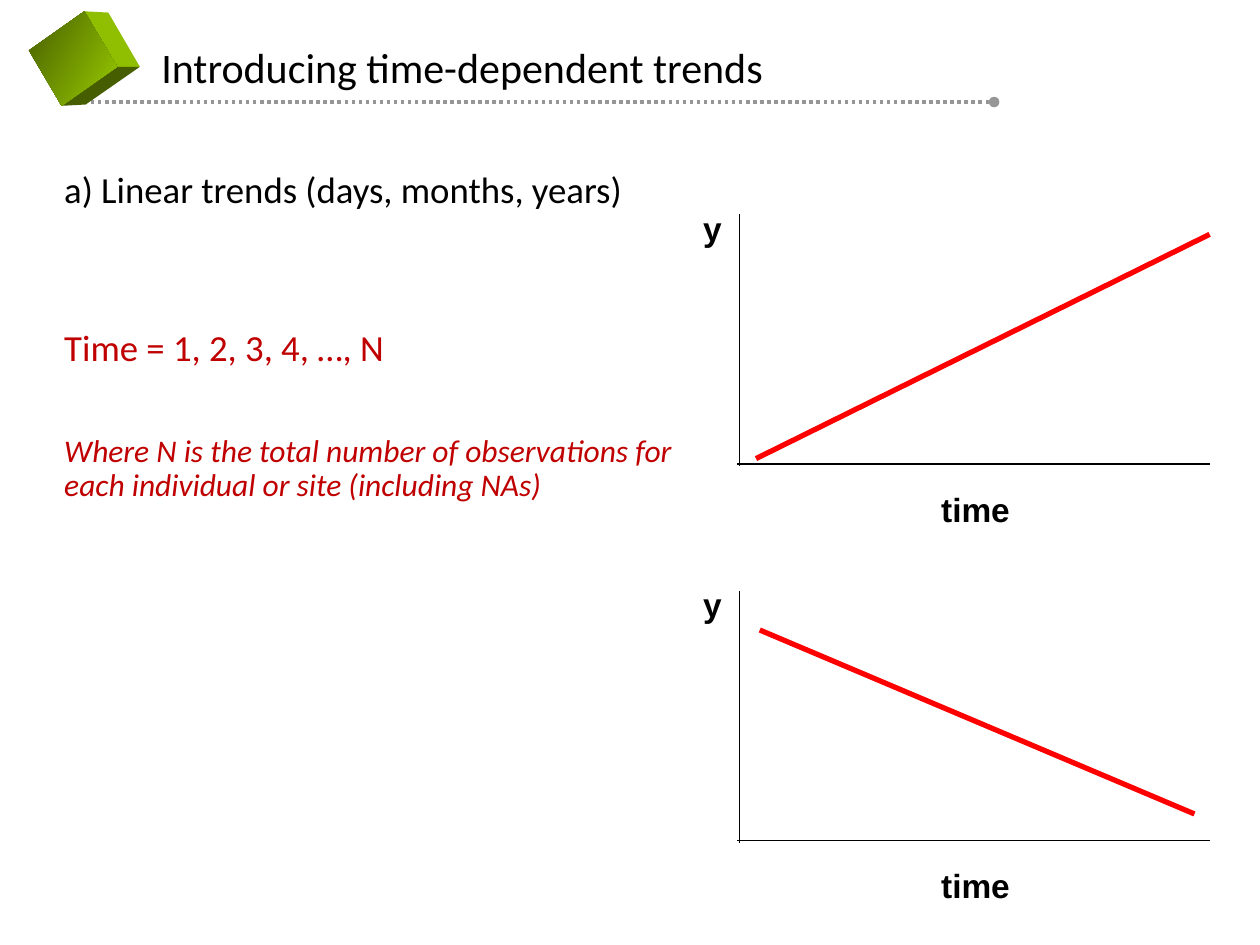
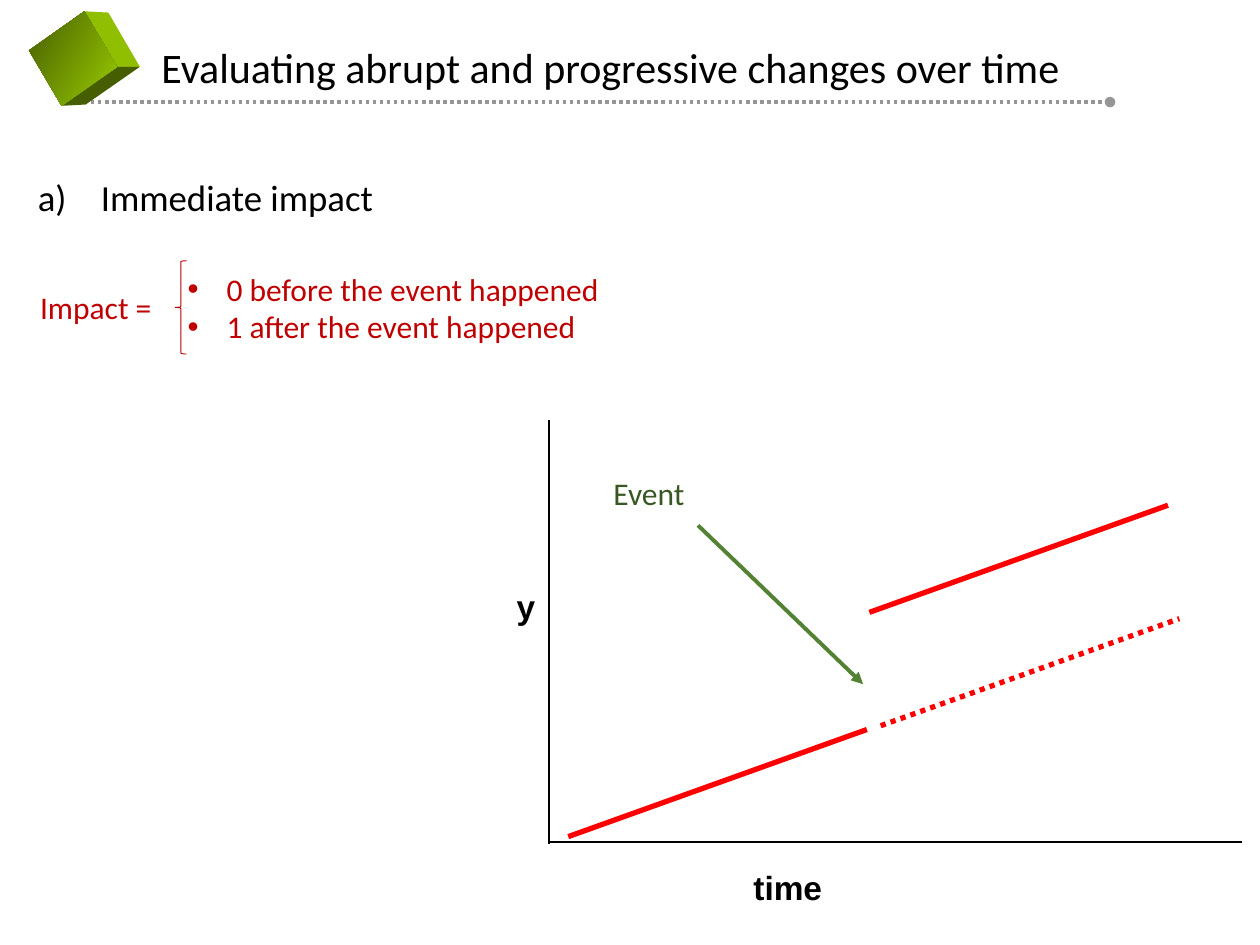
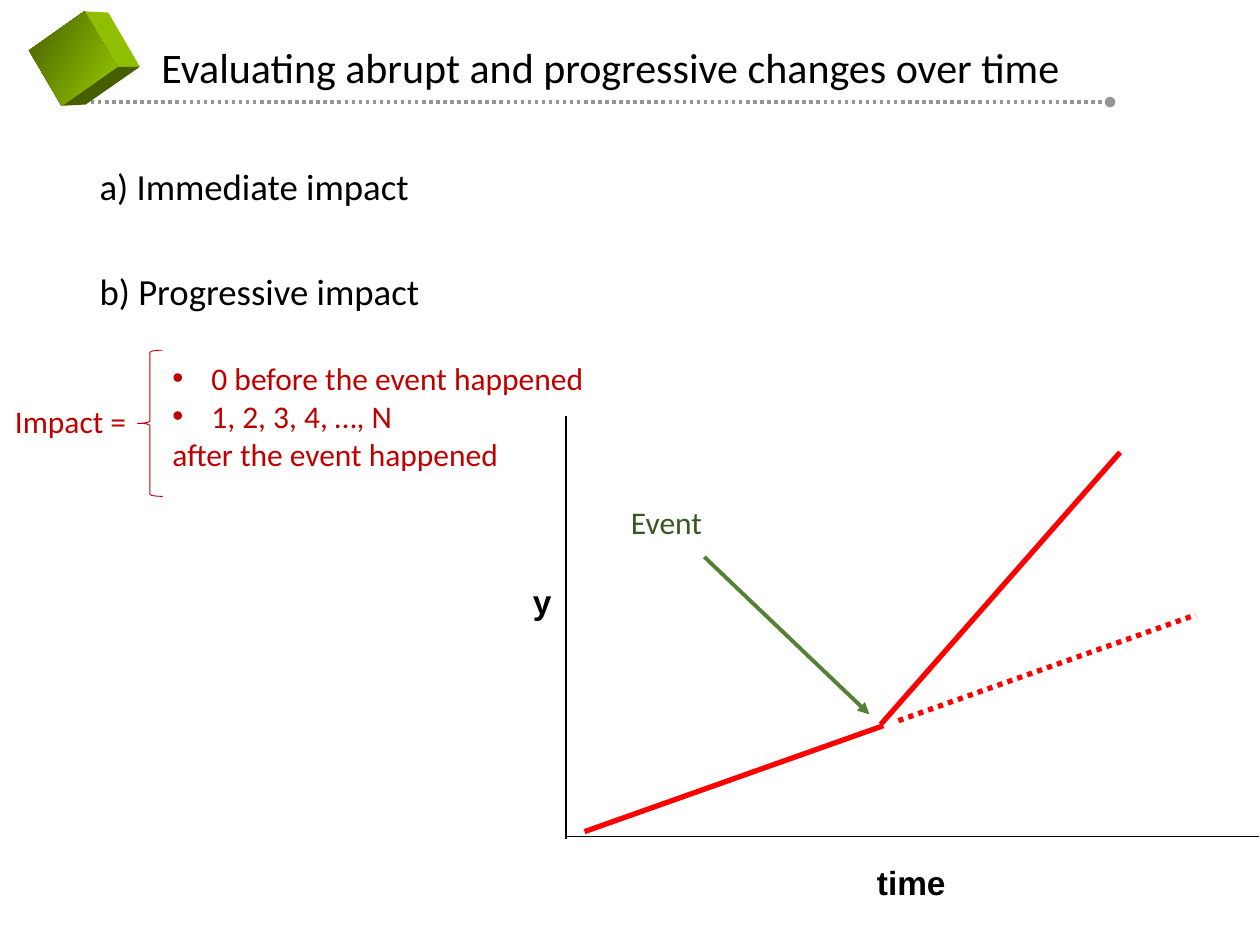
import dataclasses

import lxml.etree
import pptx
import pptx.dml.color
import pptx.enum.dml
import pptx.enum.shapes
import pptx.enum.text
import pptx.oxml.ns
import pptx.util

Inches = pptx.util.Inches
RGBColor = pptx.dml.color.RGBColor


@dataclasses.dataclass(frozen=True)
class Theme:
    """Colours, fonts and sizes shared by the slides."""

    ink: str = "000000"
    trend: str = "FF0000"
    formula: str = "C00000"
    event: str = "385723"
    arrow: str = "548235"
    rule: str = "969696"
    cube_light: str = "99CC00"
    cube_side: str = "8FBF00"
    cube_dark: str = "475E00"
    text_font: str = "Calibri"
    axis_font: str = "Arial"
    title_size: float = 24
    body_size: float = 21
    note_size: float = 18
    axis_size: float = 19.1
    axis_width: float = 1
    trend_width: float = 3
    arrow_width: float = 2.25
    rule_width: float = 2
    brace_width: float = 0.5
    line_spacing: float = 0.9
    gap: float = 7.5
    one_line_gap: float = 37.5
    two_line_gap: float = 68


THEME = Theme()
IMPACT_TITLE = "Evaluating abrupt and progressive changes over time"


def place(shape, left, top, width, height):
    """Move and size a shape, in inches."""
    shape.left, shape.top = Inches(left), Inches(top)
    shape.width, shape.height = Inches(width), Inches(height)


def write(paragraph, text, size, color, font=THEME.text_font, bold=False, italic=False):
    """Set a paragraph's text and format its runs."""
    paragraph.text = text
    for run in paragraph.runs:
        run.font.name = font
        run.font.size = pptx.util.Pt(size)
        run.font.bold = bold
        run.font.italic = italic
        run.font.color.rgb = RGBColor.from_string(color)


def set_bullet(paragraph, indent=0, tag="a:buNone", font=None, **attributes):
    """Give a paragraph a hanging indent and a bullet, or none."""
    properties = paragraph._p.get_or_add_pPr()
    properties.set("marL", str(Inches(indent)))
    properties.set("indent", str(-Inches(indent)))
    if font:
        lxml.etree.SubElement(properties, pptx.oxml.ns.qn("a:buFont"), typeface=font)
    lxml.etree.SubElement(properties, pptx.oxml.ns.qn(tag), attributes)


def next_paragraph(frame, index):
    """Return the first paragraph of a frame, or a new one."""
    return frame.paragraphs[0] if index == 0 else frame.add_paragraph()


def add_line(slide, start, end, color, width, dash=None, tail=None):
    """Draw a straight line between two points."""
    line = slide.shapes.add_connector(
        pptx.enum.shapes.MSO_CONNECTOR.STRAIGHT, *map(Inches, (*start, *end)))
    line.line.color.rgb = RGBColor.from_string(color)
    line.line.width = pptx.util.Pt(width)
    if dash:
        line.line.dash_style = dash
    properties = line.element.spPr
    if tail:
        outline = properties.find(pptx.oxml.ns.qn("a:ln"))
        lxml.etree.SubElement(outline, pptx.oxml.ns.qn("a:tailEnd"), type=tail)
    lxml.etree.SubElement(properties, pptx.oxml.ns.qn("a:effectLst"))


def add_trend(slide, start, end, dash=None):
    """Draw a trend line."""
    add_line(slide, start, end, THEME.trend, THEME.trend_width, dash)


def add_label(slide, box, text, size, color, inset=0.1, **style):
    """Add a one-line label."""
    label = slide.shapes.add_textbox(*map(Inches, box))
    frame = label.text_frame
    frame.word_wrap = False
    frame.auto_size = pptx.enum.text.MSO_AUTO_SIZE.SHAPE_TO_FIT_TEXT
    frame.margin_left = frame.margin_right = Inches(inset)
    write(frame.paragraphs[0], text, size, color, **style)


def add_face(slide, corners):
    """Draw one face of the cube and return it."""
    points = [tuple(map(Inches, corner)) for corner in corners]
    builder = slide.shapes.build_freeform(*points[0])
    builder.add_line_segments(points[1:], close=True)
    face = builder.convert_to_shape()
    face.shadow.inherit = False
    face.line.fill.background()
    return face


def add_cube(slide):
    """Draw the green cube beside the title."""
    top, front, bottom = (0.67, 0.09), (0.93, 0.53), (0.49, 0.84)
    right = (1.11, 0.53)
    sides = (
        ((top, (0.86, 0.1), right, front), THEME.cube_side),
        ((front, right, (0.68, 0.83), bottom), THEME.cube_dark),
    )
    for corners, color in sides:
        fill = add_face(slide, corners).fill
        fill.solid()
        fill.fore_color.rgb = RGBColor.from_string(color)
    fill = add_face(slide, ((0.23, 0.4), top, front, bottom)).fill
    fill.gradient()
    fill.gradient_angle = 330
    for stop, color in zip(fill.gradient_stops, (THEME.cube_dark, THEME.cube_light)):
        stop.color.rgb = RGBColor.from_string(color)


def add_topic_slide(deck, title, title_width, rule_end):
    """Add a slide with its title, dotted rule and cube."""
    slide = deck.slides.add_slide(deck.slide_layouts[1])
    heading = slide.shapes.title
    place(heading, 1.18, 0.28, title_width, 0.5)
    frame = heading.text_frame
    frame.word_wrap = False
    frame.auto_size = pptx.enum.text.MSO_AUTO_SIZE.NONE
    frame.vertical_anchor = pptx.enum.text.MSO_ANCHOR.TOP
    write(frame.paragraphs[0], title, THEME.title_size, THEME.ink)
    frame.paragraphs[0].alignment = pptx.enum.text.PP_ALIGN.LEFT
    add_line(slide, (0.61, 0.81), (rule_end, 0.81), THEME.rule, THEME.rule_width,
             pptx.enum.dml.MSO_LINE.ROUND_DOT, "oval")
    add_cube(slide)
    return slide


def fill_body(slide, box, entries, lettered=False):
    """Fill the body with (text, space before, style) entries."""
    body = slide.placeholders[1]
    place(body, *box)
    body.text_frame.auto_size = pptx.enum.text.MSO_AUTO_SIZE.NONE
    for index, (text, space, style) in enumerate(entries):
        paragraph = next_paragraph(body.text_frame, index)
        write(paragraph, text, **{"size": THEME.body_size, "color": THEME.ink, **style})
        paragraph.line_spacing = THEME.line_spacing
        paragraph.space_before = pptx.util.Pt(space)
        if lettered:
            set_bullet(paragraph, 0.5, "a:buAutoNum", THEME.text_font,
                       type="alphaLcParenR")
        else:
            set_bullet(paragraph)


def add_axes(slide, origin, top, right, y_label, time_left, overlap=0):
    """Draw the y and time axes with their labels."""
    x, y = origin
    ends = (((x, top), (x, y + 0.02)), ((x - overlap, y), (right, y)))
    for start, end in ends:
        add_line(slide, start, end, THEME.ink, THEME.axis_width)
    labels = (("y", (*y_label, 0.36, 0.41)), ("time", (time_left, y + 0.15, 0.8, 0.41)))
    for text, box in labels:
        add_label(slide, box, text, THEME.axis_size, THEME.ink, inset=0.09,
                  font=THEME.axis_font, bold=True)


def add_event(slide, label_at, start, end):
    """Mark the event with a label and an arrow."""
    add_label(slide, (*label_at, 0.77, 0.4), "Event", THEME.note_size, THEME.event)
    add_line(slide, start, end, THEME.arrow, THEME.arrow_width, tail="triangle")


def add_impact(slide, label_at, brace_box, cases_box, cases):
    """Define the impact variable as a brace with (text, bulleted) cases."""
    add_label(slide, (*label_at, 1.1, 0.4), "Impact =", THEME.note_size, THEME.formula)
    brace = slide.shapes.add_shape(
        pptx.enum.shapes.MSO_SHAPE.LEFT_BRACE, *map(Inches, brace_box))
    brace.shadow.inherit = False
    brace.fill.background()
    brace.line.color.rgb = RGBColor.from_string(THEME.formula)
    brace.line.width = pptx.util.Pt(THEME.brace_width)
    frame = slide.shapes.add_textbox(*map(Inches, cases_box)).text_frame
    frame.word_wrap = True
    for index, (text, bulleted) in enumerate(cases):
        paragraph = next_paragraph(frame, index)
        write(paragraph, text, THEME.note_size, THEME.formula)
        if bulleted:
            set_bullet(paragraph, 0.31, "a:buChar", THEME.axis_font, char="•")


def build_linear_trends(deck):
    """Build the slide on linear trends."""
    slide = add_topic_slide(deck, "Introducing time-dependent trends", 5.03, 7.89)
    formula = {"color": THEME.formula}
    fill_body(slide, (0.41, 1.31, 5.08, 4.76), (
        ("a) Linear trends (days, months, years)", THEME.gap, {}),
        ("Time = 1, 2, 3, 4, …, N", THEME.two_line_gap, formula),
        ("Where N is the total number of observations for each individual or site "
         "(including NAs)", THEME.one_line_gap,
         {**formula, "size": THEME.note_size, "italic": True}),
    ))
    plots = ((1.7, (6, 3.64), (9.6, 1.86)), (4.69, (6.03, 5), (9.48, 6.46)))
    for top, start, end in plots:
        add_axes(slide, (5.87, top + 1.98), top, 9.6, (5.49, top - 0.1), 7.38, 0.02)
        add_trend(slide, start, end)


def build_immediate_impact(deck):
    """Build the slide on immediate impact."""
    slide = add_topic_slide(deck, IMPACT_TITLE, 7.4, 8.81)
    fill_body(slide, (0.2, 1.38, 8.62, 4.76),
              (("Immediate impact", THEME.gap, {}),), lettered=True)
    add_axes(slide, (4.36, 6.68), 3.33, 9.86, (4.01, 4.6), 5.89)
    add_trend(slide, (4.51, 6.64), (6.88, 5.79))
    add_trend(slide, (6.9, 4.86), (9.27, 4.01))
    add_trend(slide, (6.99, 5.76), (9.36, 4.91), pptx.enum.dml.MSO_LINE.ROUND_DOT)
    add_event(slide, (4.77, 3.71), (5.54, 4.17), (6.85, 5.43))
    add_impact(slide, (0.22, 2.24), (1.39, 2.07, 0.09, 0.74), (1.39, 2.09, 3.61, 0.71), (
        ("0 before the event happened", True),
        ("1 after the event happened", True),
    ))


def build_progressive_impact(deck):
    """Build the slide on progressive impact."""
    slide = add_topic_slide(deck, IMPACT_TITLE, 7.4, 8.81)
    fill_body(slide, (0.69, 1.29, 8.62, 4.76), (
        ("a) Immediate impact", THEME.gap, {}),
        ("b) Progressive impact", THEME.one_line_gap, {}),
    ))
    add_axes(slide, (4.49, 6.64), 3.3, 9.99, (4.14, 4.56), 6.87)
    add_trend(slide, (4.64, 6.6), (7.01, 5.76))
    add_trend(slide, (6.99, 5.75), (8.89, 3.59))
    add_trend(slide, (7.13, 5.72), (9.49, 4.88), pptx.enum.dml.MSO_LINE.ROUND_DOT)
    add_event(slide, (4.91, 3.94), (5.59, 4.42), (6.9, 5.67))
    add_impact(slide, (0.02, 3.14), (1.09, 2.78, 0.2, 1.16), (1.27, 2.8, 3.64, 1.01), (
        ("0 before the event happened", True),
        ("1, 2, 3, 4, …, N", True),
        ("after the event happened", False),
    ))


def main():
    """Build and save the deck."""
    deck = pptx.Presentation()
    deck.slide_width, deck.slide_height = Inches(10), Inches(7.5)
    build_linear_trends(deck)
    build_immediate_impact(deck)
    build_progressive_impact(deck)
    deck.save("out.pptx")


if __name__ == "__main__":
    main()
